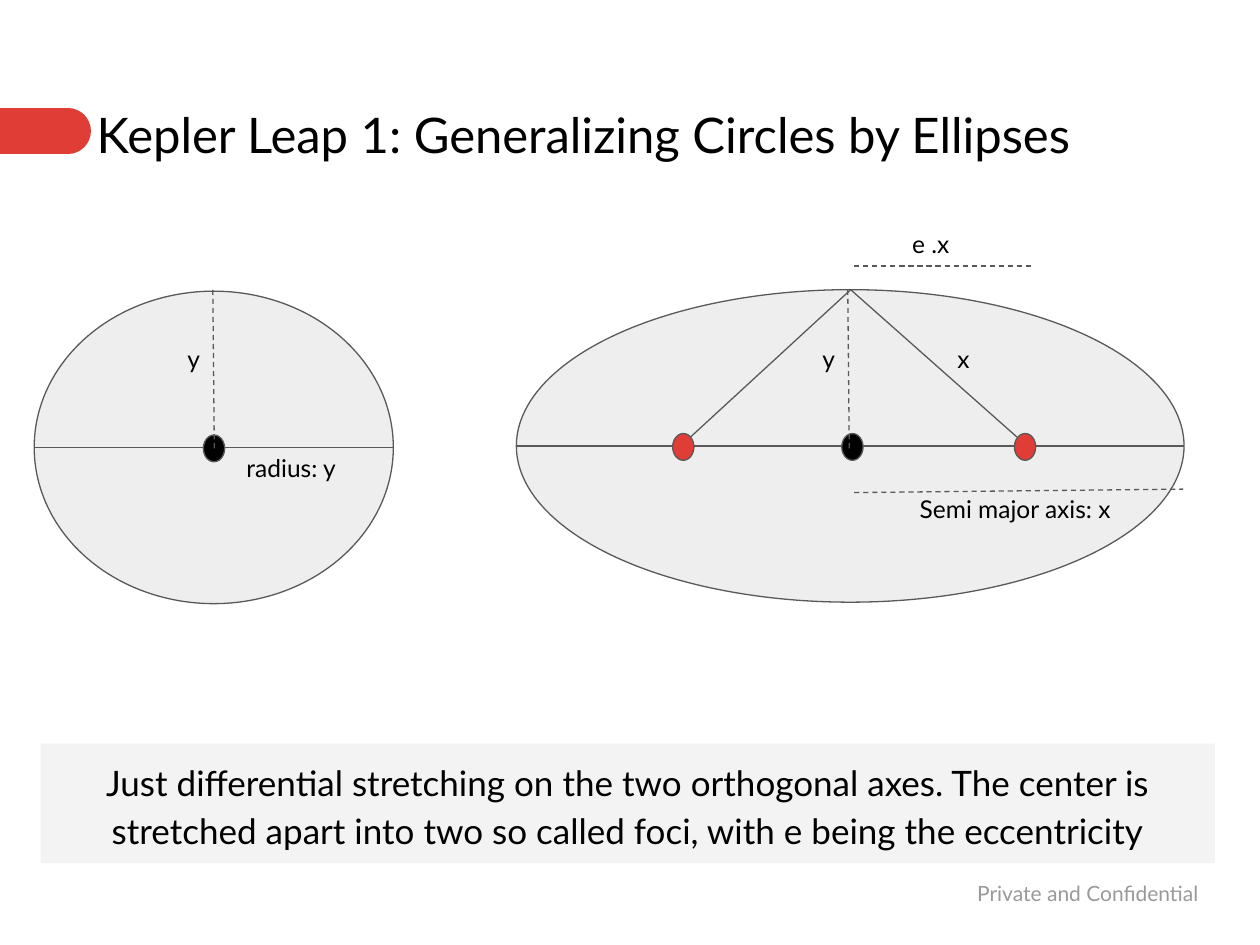
from lxml import etree
from pptx import Presentation
from pptx.dml.color import RGBColor
from pptx.enum.dml import MSO_LINE as Dash
from pptx.enum.shapes import MSO_CONNECTOR as Link, MSO_SHAPE as Form
from pptx.enum.text import MSO_ANCHOR as Anchor, PP_ALIGN as Align
from pptx.oxml.ns import qn
from pptx.util import Cm, Pt

RED = RGBColor(0xE0, 0x3D, 0x37)
BLACK = RGBColor(0, 0, 0)
GREY = RGBColor(0x59, 0x59, 0x59)
PALE = RGBColor(0xEE, 0xEE, 0xEE)
BAND = RGBColor(0xF3, 0xF3, 0xF3)
FAINT = RGBColor(0x99, 0x99, 0x99)


def write(frame, text, size, color=BLACK, align=Align.LEFT, anchor=Anchor.TOP):
    frame.word_wrap = True
    frame.vertical_anchor = anchor
    frame.margin_left = frame.margin_right = Cm(0.25)
    frame.margin_top = frame.margin_bottom = Cm(0.25)
    para = frame.paragraphs[0]
    para.alignment = align
    run = para.add_run()
    run.text = text
    run.font.name = "Lato"
    run.font.size = Pt(size)
    run.font.color.rgb = color
    return para


def draw(x1, y1, x2, y2, color=GREY, width=0.75):
    line = slide.shapes.add_connector(Link.STRAIGHT, Cm(x1), Cm(y1), Cm(x2), Cm(y2))
    line.line.color.rgb = color
    line.line.width = Pt(width)
    etree.SubElement(line._element.spPr, qn("a:effectLst"))
    return line


deck = Presentation()
deck.slide_width, deck.slide_height = Cm(25.4), Cm(19.05)
slide = deck.slides.add_slide(deck.slide_layouts[5])
shapes = slide.shapes

tab = draw(-0.18, 2.64, 1.37, 2.64, RED, 26.25)
tab.line._ln.set("cap", "rnd")

title = shapes.title
title.left, title.top, title.width, title.height = Cm(1.7), Cm(1.85), Cm(23.67), Cm(2.11)
write(title.text_frame, "Kepler Leap 1: Generalizing Circles by Ellipses", 28)

band = shapes.add_shape(Form.RECTANGLE, Cm(0.82), Cm(14.99), Cm(23.67), Cm(2.41))
band.shadow.inherit = False
band.fill.solid()
band.fill.fore_color.rgb = BAND
band.line.fill.background()
para = write(
    band.text_frame,
    "Just differential stretching on the two orthogonal axes. The center is "
    "stretched apart into two so called foci, with e being the eccentricity",
    20, align=Align.CENTER, anchor=Anchor.MIDDLE)
para.line_spacing = 1.15

foot = shapes.add_textbox(Cm(18.59), Cm(17.4), Cm(5.82), Cm(1.22))
write(foot.text_frame, "Private and Confidential", 12, FAINT, Align.RIGHT, Anchor.MIDDLE)

wide, high = 0.43, 0.54
ovals = [
    (0.69, 5.87, 7.24, 6.3, PALE),
    (10.41, 5.84, 13.46, 6.3, PALE),
    (4.1, 8.77, wide, high, BLACK),
    (16.97, 8.74, wide, high, BLACK),
    (13.56, 8.74, wide, high, RED),
    (20.45, 8.74, wide, high, RED),
]
for x, y, w, h, color in ovals:
    oval = shapes.add_shape(Form.OVAL, Cm(x), Cm(y), Cm(w), Cm(h))
    oval.shadow.inherit = False
    oval.fill.solid()
    oval.fill.fore_color.rgb = color
    oval.line.color.rgb = GREY
    oval.line.width = Pt(0.75)
    if color == PALE:
        mid = y + h / 2
        draw(x, mid, x + w, mid)

for x in (13.92, 20.5):
    draw(17.15, 5.84, x, 8.81)

dashes = [
    (4.32, 9.04, 4.29, 5.84),
    (17.12, 9.04, 17.09, 5.84),
    (17.22, 9.93, 23.85, 9.86),
    (17.22, 5.36, 20.78, 5.36),
]
for ends in dashes:
    draw(*ends).line.dash_style = Dash.DASH

labels = [
    ("y", 3.53, 6.68, 0.69),
    ("radius: y", 4.72, 8.89, 3.23),
    ("y", 16.33, 6.68, 0.69),
    ("x", 19.05, 6.68, 0.69),
    ("e .x", 18.14, 4.37, 1.37),
    ("Semi major axis: x", 18.29, 9.7, 4.52),
]
for text, x, y, w in labels:
    box = shapes.add_textbox(Cm(x), Cm(y), Cm(w), Cm(1.12))
    write(box.text_frame, text, 14)

deck.save("out.pptx")
